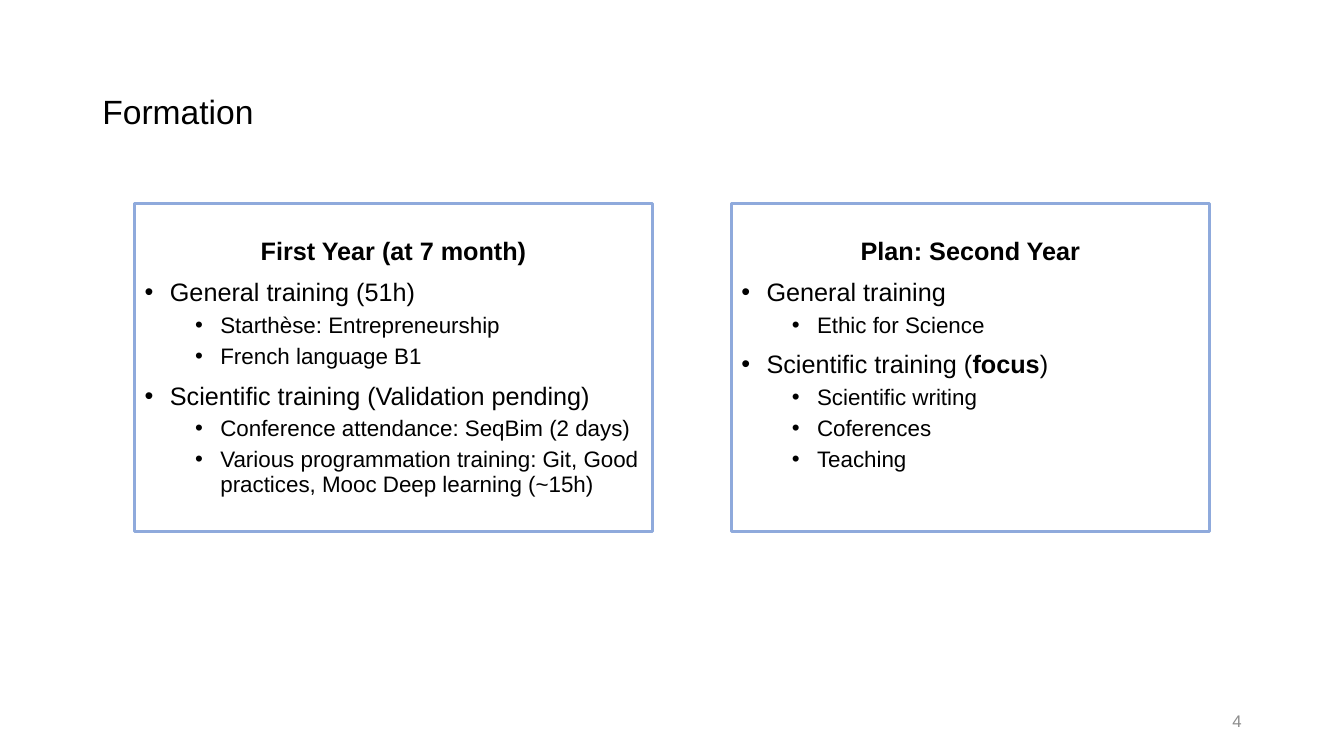
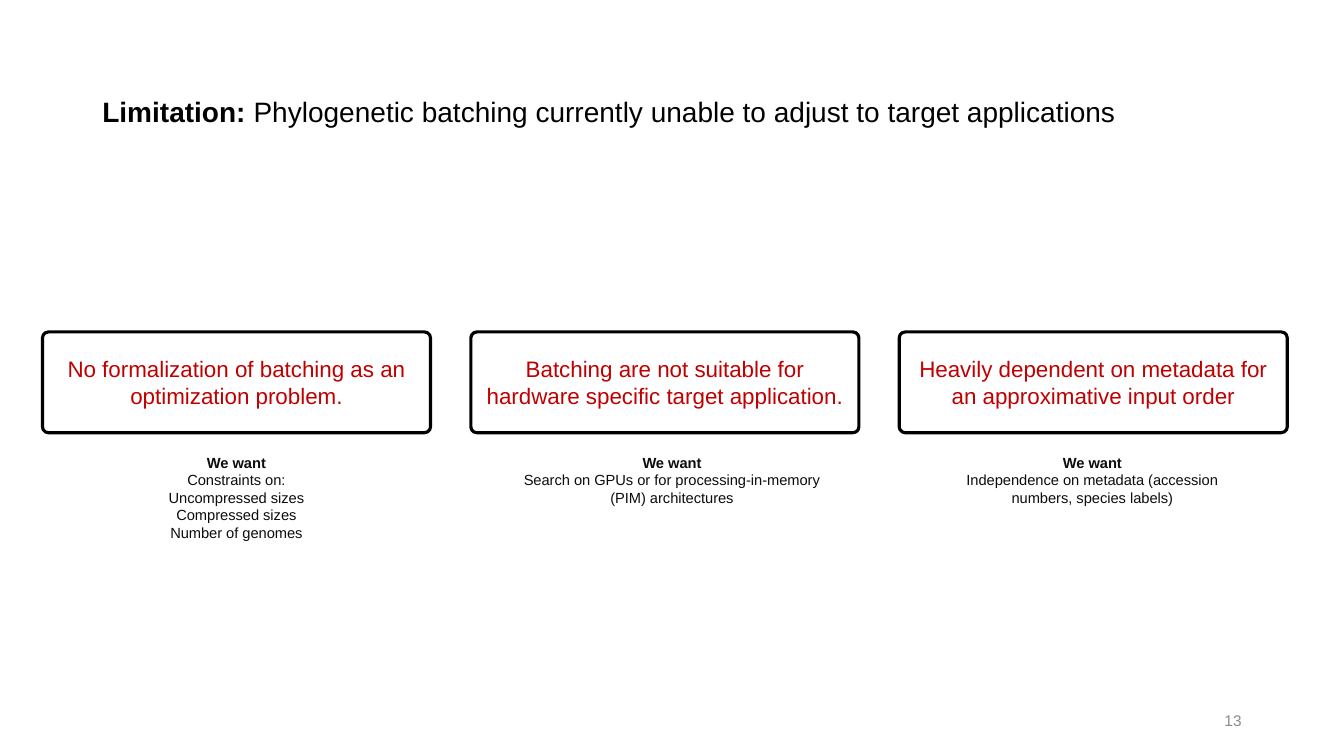
from lxml.etree import SubElement
from pptx import Presentation
from pptx.dml.color import RGBColor
from pptx.enum.shapes import MSO_SHAPE
from pptx.enum.text import MSO_ANCHOR, MSO_AUTO_SIZE, PP_ALIGN
from pptx.oxml.ns import qn
from pptx.util import Inches, Pt

COLORS = {
    "white": "FFFFFF",
    "black": "000000",
    "panel line": "8FAADC",
    "number": "8C8C8C",
    "problem": "C00000",
    "wish": "0D0D0D",
}
FONT = "Arial"

presentation = Presentation()
presentation.slide_width = Inches(13.33)
presentation.slide_height = Inches(7.5)
column = presentation.slide_width / 160
row = presentation.slide_height / 90


def add_box(slide, left, top, width, height, preset=None, line=None, anchor=MSO_ANCHOR.MIDDLE):
    place = [round(left * column), round(top * row), round(width * column), round(height * row)]
    if preset is None:
        shape = slide.shapes.add_textbox(*place)
    else:
        shape = slide.shapes.add_shape(preset, *place)
        shape.shadow.inherit = False
        shape.fill.background()
        shape.line.color.rgb = RGBColor.from_string(COLORS[line])
        shape.line.width = Pt(2.25)
    shape.text_frame.word_wrap = True
    shape.text_frame.vertical_anchor = anchor
    return shape


def write(paragraph, text, size, color="black", align=PP_ALIGN.LEFT):
    paragraph.alignment = align
    for index, part in enumerate(text.split("**")):
        if part:
            run = paragraph.add_run()
            run.text = part
            run.font.name = FONT
            run.font.size = Pt(size)
            run.font.bold = index % 2 == 1
            run.font.color.rgb = RGBColor.from_string(COLORS[color])


headings = [
    ("Formation", 24, "4", 12),
    ("**Limitation: **Phylogenetic batching currently unable to adjust to target applications", 20, "13", 11),
]
slides = []
for title, title_size, number, number_size in headings:
    slide = presentation.slides.add_slide(presentation.slide_layouts[6])
    title_paragraph = add_box(slide, 11, 4.8, 138, 17.4).text_frame.paragraphs[0]
    title_paragraph.line_spacing = 0.9
    write(title_paragraph, title, title_size)
    number_box = add_box(slide, 113, 83.4, 36, 4.8)
    write(number_box.text_frame.paragraphs[0], number, number_size, "number", PP_ALIGN.RIGHT)
    slides.append(slide)
training_slide, limitation_slide = slides

panels = [
    (16.05, 61.6, 0.05, "First Year (at 7 month)", [
        (0, "General training (51h)"),
        (1, "Starthèse: Entrepreneurship"),
        (1, "French language B1"),
        (0, "Scientific training (Validation pending)"),
        (1, "Conference attendance: SeqBim (2 days)"),
        (1, "Various programmation training: Git, Good practices, Mooc Deep learning (~15h)"),
    ]),
    (87.08, 56.9, 0.29, "Plan: Second Year", [
        (0, "General training"),
        (1, "Ethic for Science"),
        (0, "Scientific training (**focus**)"),
        (1, "Scientific writing"),
        (1, "Coferences"),
        (1, "Teaching"),
    ]),
]
for left, width, bottom_margin, heading, items in panels:
    panel = add_box(training_slide, left, 24.25, width, 39.05, MSO_SHAPE.RECTANGLE, "panel line")
    text_frame = panel.text_frame
    text_frame.margin_bottom = Inches(bottom_margin)
    paragraph = text_frame.paragraphs[0]
    paragraph.line_spacing = 0.9
    write(paragraph, f"**{heading}**", 18, align=PP_ALIGN.CENTER)
    for level, text in items:
        paragraph = text_frame.add_paragraph()
        paragraph.level = level
        properties = paragraph._p.get_or_add_pPr()
        properties.set("marL", str(Inches(0.25 + 0.5 * level)))
        properties.set("indent", str(Inches(-0.25)))
        SubElement(properties, qn("a:buFont"), typeface=FONT)
        SubElement(properties, qn("a:buChar"), char="•")
        paragraph.line_spacing = 0.9
        paragraph.space_before = Pt(10 - 5 * level)
        write(paragraph, text, 18 - 2 * level)

limitations = [
    ("No formalization of batching as an optimization problem.", 8.15, 11.8,
     ["Constraints on:", "Uncompressed sizes", "Compressed sizes", "Number of genomes"]),
    ("Batching are not suitable for hardware specific target application.", 60, 7.6,
     ["Search on GPUs or for processing-in-memory (PIM) architectures"]),
    ("Heavily dependent on metadata for an approximative input order", 110.05, 7.6,
     ["Independence on metadata (accession numbers, species labels)"]),
]
for index, (problem, wish_left, wish_height, wishes) in enumerate(limitations):
    card = add_box(limitation_slide, 5.05 + 51 * index, 39.52, 46.2, 12, MSO_SHAPE.ROUNDED_RECTANGLE, "black")
    card.fill.solid()
    card.fill.fore_color.rgb = RGBColor.from_string(COLORS["white"])
    card.adjustments[0] = 0.06
    write(card.text_frame.paragraphs[0], problem, 16, "problem", PP_ALIGN.CENTER)
    wish_box = add_box(limitation_slide, wish_left, 53.38, 40, wish_height, anchor=MSO_ANCHOR.TOP)
    text_frame = wish_box.text_frame
    text_frame.auto_size = MSO_AUTO_SIZE.SHAPE_TO_FIT_TEXT
    write(text_frame.paragraphs[0], "**We want**", 10.5, "wish", PP_ALIGN.CENTER)
    for wish in wishes:
        write(text_frame.add_paragraph(), wish, 10.5, "wish", PP_ALIGN.CENTER)

presentation.save("out.pptx")
